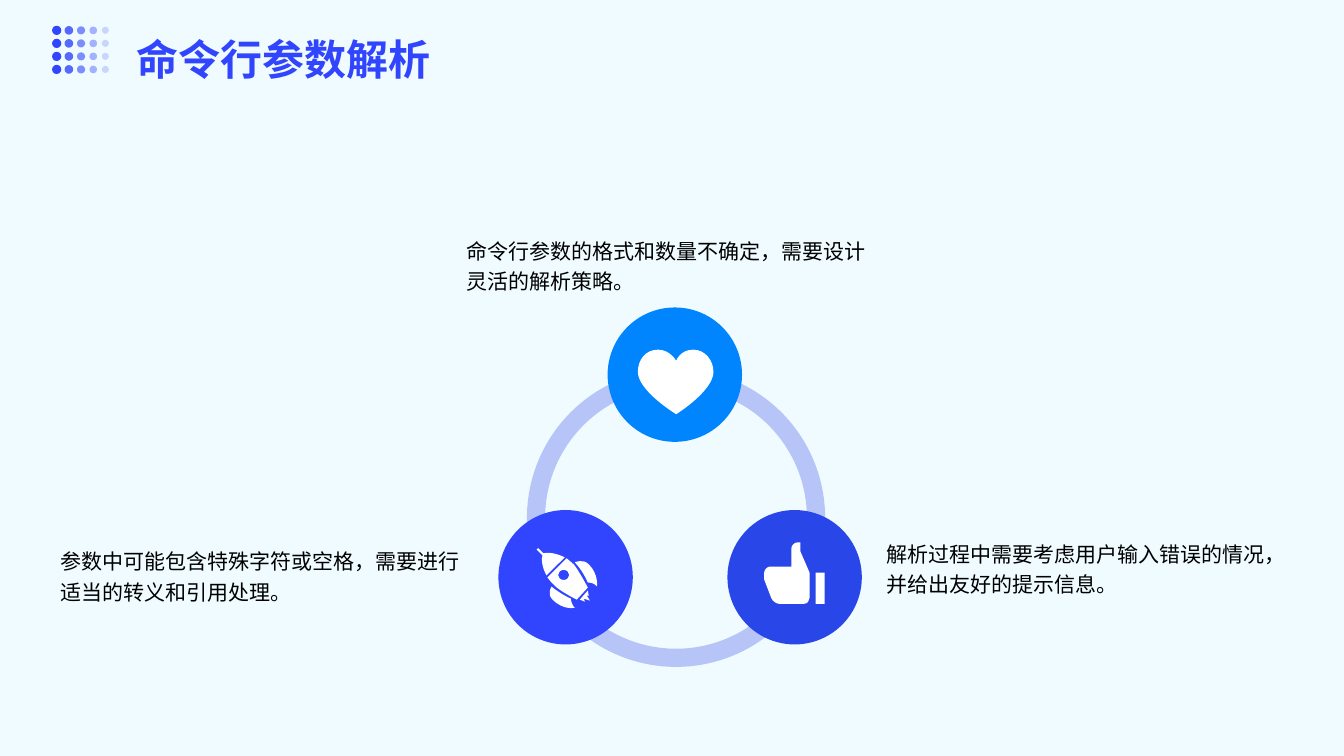
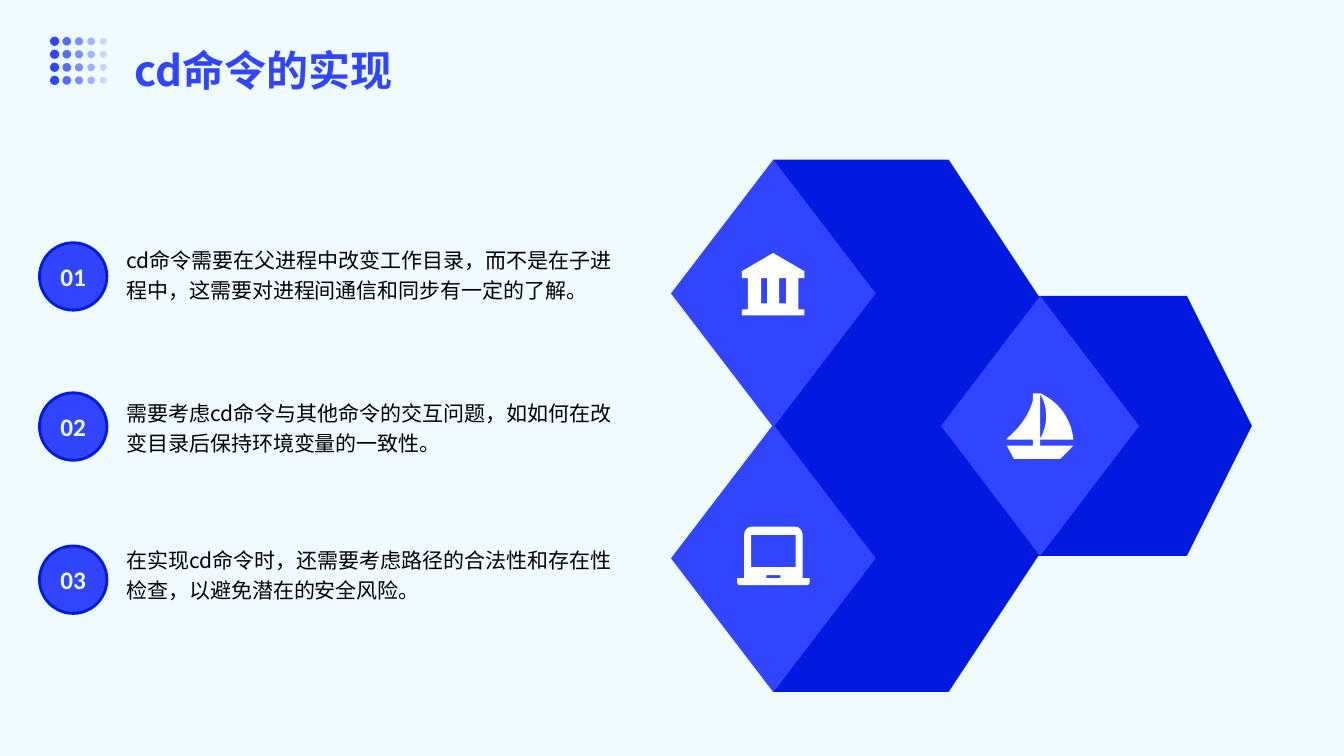
from typing import NamedTuple

from lxml import etree
from pptx import Presentation
from pptx.dml.color import RGBColor
from pptx.enum.shapes import MSO_SHAPE
from pptx.enum.text import MSO_ANCHOR, MSO_AUTO_SIZE, PP_ALIGN
from pptx.oxml.ns import qn
from pptx.shapes.autoshape import Shape
from pptx.shapes.shapetree import GroupShapes, SlideShapes
from pptx.slide import Slide
from pptx.util import Pt

OVAL, DONUT = MSO_SHAPE.OVAL, MSO_SHAPE.DONUT
DIAMOND, HEXAGON, ARROW = MSO_SHAPE.DIAMOND, MSO_SHAPE.HEXAGON, MSO_SHAPE.PENTAGON
TOP, MIDDLE = MSO_ANCHOR.TOP, MSO_ANCHOR.MIDDLE
LEFT, CENTER = PP_ALIGN.LEFT, PP_ALIGN.CENTER
GROW = MSO_AUTO_SIZE.SHAPE_TO_FIT_TEXT

PALE = RGBColor(0xEF, 0xFB, 0xFF)
BLUE = RGBColor(0x30, 0x45, 0xFD)
DEEP = RGBColor(0x02, 0x19, 0xE0)
SKY = RGBColor(0x00, 0x85, 0xFF)
ROYAL = RGBColor(0x29, 0x47, 0xE8)
WHITE = RGBColor(0xFF, 0xFF, 0xFF)
BLACK = RGBColor(0x00, 0x00, 0x00)

SANS, LATIN = "Noto Sans CJK SC", "Calibri"

# Outlines in points: ";" splits contours, "," splits segments.
# Two numbers make a line, six a cubic curve.
HEART = (
    "27.4 7.9, 27.4 7.9 23 0 14.4 0, 5 0 0 7.9 0 15.8, 0 29.5 27.4 46.1 27.4 46.1,"
    "27.4 46.1 54 29.5 54 15.8, 54 7.9 48.2 0 39.6 0, 30.2 0 27.4 7.9 27.4 7.9"
)
ROCKET = (
    "43.2 27.4, 43.2 27.4 41.8 24.5 36.7 24.5, 33.1 15.8 27.4 10.1 27.4 10.1,"
    "27.4 10.1 33.1 7.2 37.4 11.5, 44.6 18.7 43.2 27.4 43.2 27.4;"
    "28.8 36.7, 28.8 36.7 15.8 30.2 12.2 25.9, 10.1 24.5 9.4 22.3 7.9 20.9, 21.6 7.2,"
    "23 8.6 25.2 10.1 26.6 11.5, 30.2 15.8 36.7 28.1 36.7 28.1;"
    "16.6 16.6, 15.1 18 15.1 20.2 16.6 21.6, 18 23 20.9 23 22.3 21.6,"
    "23.8 20.2 23.8 18 22.3 16.6, 20.9 15.1 18 15.1 16.6 16.6;"
    "4.3 5, 0 0.7, 1.4 0, 5 3.6, 7.2 2.9 13 2.9 20.2 6.5, 7.2 19.4,"
    "3.6 13 3.6 7.2 4.3 5;"
    "27.4 42.5, 27.4 42.5 19.4 44.6 11.5 36.7, 7.2 32.4 10.8 27.4 10.8 27.4,"
    "10.8 27.4 16.6 32.4 24.5 36, 25.2 41 27.4 42.5 27.4 42.5;"
    "37.4 33.8, 36 33.8, 38.2 37.4, 33.8 36, 34.6 38.2, 31 36.7, 36.7 30.2"
)
THUMB = (
    "23.8 0, 25.9 0, 25.9 6.5, 32.4 21.6, 32.4 39.6, 32.4 41.8 31 43.9 28.1 43.9,"
    "10.8 43.9, 8.6 43.9 5.8 41.8 5 39.6, 0 26.6, 0 21.6, 0 19.4 2.2 17.3 4.3 17.3,"
    "19.4 17.3, 19.4 4.3, 19.4 2.2 21.6 0 23.8 0;"
    "36.7 21.6, 43.2 21.6, 43.2 43.9, 36.7 43.9"
)
BANK = (
    "0 13, 22.3 0, 44.6 13, 44.6 18, 40.3 18, 40.3 36, 40.3 40.3, 44.6 40.3,"
    "44.6 44.6, 0 44.6, 0 40.3, 4.3 40.3, 4.3 18, 0 18;"
    "13.7 18, 18 18, 18 36, 13.7 36; 26.6 18, 31.7 18, 31.7 36, 26.6 36"
)
LAPTOP = (
    "46.8 36.7, 51.8 36.7, 51.8 39.6, 51.8 41 51.1 41.8 49.7 41.8, 2.2 41.8,"
    "0.7 41.8 0 41 0 39.6, 0 36.7, 5 36.7, 5 5.8, 5 2.9 7.2 0 10.1 0, 41.8 0,"
    "44.6 0 46.8 2.9 46.8 5.8; 10.1 5.8, 10.1 28.8, 41.8 28.8, 41.8 5.8;"
    "20.9 34.6, 20.9 36.7, 31 36.7, 31 34.6"
)
BOAT = (
    "18.7 4.3, 18.7 0, 23.8 0, 23.8 37.4, 47.5 37.4, 38.2 46.8, 5 46.8, 0 37.4,"
    "18.7 37.4, 18.7 33.1, 0 33.1, 0 32.4, 8.6 25.2 15.8 15.8 18.7 5;"
    "47.5 33.1, 23.8 33.1, 23.8 32.4, 26.6 27.4 28.1 22.3 28.1 16.6,"
    "28.1 10.8 26.6 5 23.8 0.7, 23.8 0, 36.7 5.8 46.1 18 47.5 33.1"
)

Shapes = SlideShapes | GroupShapes
Point = tuple[float, float]


class Box(NamedTuple):
    left: float
    top: float
    width: float
    height: float


class Icon(NamedTuple):
    outline: str
    left: float
    top: float


class Node(NamedTuple):
    left: float
    top: float
    color: RGBColor
    icon: Icon
    note: Point
    text: str


class Tile(NamedTuple):
    box: Box
    icon: Icon


class Step(NamedTuple):
    badge_top: float
    note_top: float
    text: str


NODES = [
    Node(434, 219.6, SKY, Icon(HEART, 455.6, 249.8), (324.2, 162.3),
         "命令行参数的格式和数量不确定，需要设计灵活的解析策略。"),
    Node(356, 364.3, BLUE, Icon(ROCKET, 383.2, 391.6), (34, 384.3),
         "参数中可能包含特殊字符或空格，需要进行适当的转义和引用处理。"),
    Node(519.6, 364.3, ROYAL, Icon(THUMB, 545.9, 387.4), (624.2, 378.7),
         "解析过程中需要考虑用户输入错误的情况，并给出友好的提示信息。"),
]
TILES = [
    Tile(Box(479.3, 114, 146.2, 191.2), Icon(BANK, 529.9, 180.7)),
    Tile(Box(479.3, 303.2, 146.2, 191.2), Icon(LAPTOP, 526.5, 376.2)),
    Tile(Box(672.2, 211.4, 141.5, 185.7), Icon(BOAT, 719.2, 280.9)),
]
STEPS = [
    Step(173.4, 168.8, "cd命令需要在父进程中改变工作目录，而不是在子进程中，"
                       "这需要对进程间通信和同步有一定的了解。"),
    Step(280.6, 277.9, "需要考虑cd命令与其他命令的交互问题，"
                       "如如何在改变目录后保持环境变量的一致性。"),
    Step(390, 383, "在实现cd命令时，还需要考虑路径的合法性和存在性检查，"
                   "以避免潜在的安全风险。"),
]


def paint(shape: Shape, color: RGBColor, alpha: int = 100) -> None:
    """Give a flat fill, alpha in percent, with no line or shadow."""
    shape.shadow.inherit = False
    shape.fill.solid()
    shape.fill.fore_color.rgb = color
    shape.line.fill.background()
    if alpha < 100:
        tint = shape.element.spPr.find(".//" + qn("a:srgbClr"))
        etree.SubElement(tint, qn("a:alpha"), val=str(alpha * 1000))


def add_form(shapes: Shapes, kind: MSO_SHAPE, box: Box, color: RGBColor,
             alpha: int = 100, adjust: float | None = None) -> Shape:
    shape = shapes.add_shape(kind, *map(Pt, box))
    if adjust is not None:
        shape.adjustments[0] = adjust
    paint(shape, color, alpha)
    return shape


def write(shape: Shape, text: str, *, size: float = 15, font: str = SANS,
          color: RGBColor = BLACK, bold: bool = False, spacing: float = 1.0,
          align: PP_ALIGN = LEFT, anchor: MSO_ANCHOR = TOP,
          insets: Box | None = None) -> None:
    frame = shape.text_frame
    frame.word_wrap = True
    frame.vertical_anchor = anchor
    if insets:
        frame.margin_left, frame.margin_top, frame.margin_right, frame.margin_bottom = map(Pt, insets)
        frame.auto_size = GROW
    line = frame.paragraphs[0]
    line.alignment, line.line_spacing = align, spacing
    run = line.add_run()
    run.text = text
    run.font.size, run.font.name, run.font.bold = Pt(size), font, bold
    run.font.color.rgb = color
    etree.SubElement(run.font._element, qn("a:ea"), typeface=font)


def add_note(shapes: Shapes, box: Box, text: str) -> None:
    write(shapes.add_textbox(*map(Pt, box)), text, spacing=1.2,
          insets=Box(9, 4.25, 9, 4.25))


def bend(shape: Shape, counts: list[int]) -> None:
    """Join each run of three drawn lines into one cubic curve."""
    lines = iter(list(shape.element.iter(qn("a:lnTo"))))
    for count in counts:
        first, *rest = [next(lines) for _ in range(count)]
        if rest:
            first.tag = qn("a:cubicBezTo")
        for line in rest:
            first.append(line[0])
            line.getparent().remove(line)


def add_icon(shapes: Shapes, icon: Icon) -> None:
    pen = None
    counts: list[int] = []
    for contour in icon.outline.split(";"):
        points: list[Point] = []
        for index, segment in enumerate(contour.split(",")):
            nums = [float(num) for num in segment.split()]
            points += [(Pt(icon.left + x), Pt(icon.top + y))
                       for x, y in zip(nums[::2], nums[1::2])]
            if index:
                counts.append(len(nums) // 2)
        if pen is None:
            pen = shapes.build_freeform(*points[0], scale=1.0)
        else:
            pen.move_to(*points[0])
        pen.add_line_segments(points[1:], close=True)
    shape = pen.convert_to_shape()
    bend(shape, counts)
    paint(shape, WHITE)


def add_head(slide: Slide, left: float, top: float, text: str) -> None:
    """Draw the fading dot grid and the title beside it."""
    shapes = slide.shapes.add_group_shape().shapes
    for row in range(4):
        for col in range(5):
            size = 6.6 - 0.4 * col
            x = left + 3 + 8.7 * col - size / 2
            y = top + 22 + 9.3 * row - size / 2
            add_form(shapes, OVAL, Box(x, y, size, size), BLUE, 100 - 20 * col)
    title = shapes.add_textbox(Pt(left + 50.3), Pt(top), Pt(787.7), Pt(70.6))
    write(title, text, size=30, color=BLUE, bold=True, spacing=1.4,
          insets=Box(10, 10, 4.3, 10))


def add_page(deck: Presentation) -> Slide:
    slide = deck.slides.add_slide(deck.slide_layouts[6])
    slide.background.fill.solid()
    slide.background.fill.fore_color.rgb = PALE
    return slide


def draw_ring(slide: Slide) -> None:
    shapes = slide.shapes
    add_form(shapes, DONUT, Box(376.4, 263.4, 213, 213), DEEP, 24, 0.061)
    for node in NODES:
        add_form(shapes, OVAL, Box(node.left, node.top, 96, 96), node.color)
        add_icon(shapes, node.icon)
        add_note(shapes, Box(*node.note, 307.4, 52.6), node.text)
    add_head(slide, 37.5, -0.3, "命令行参数解析")


def draw_steps(slide: Slide) -> None:
    shapes = slide.shapes
    add_form(shapes, HEXAGON, Box(677.5, 211.4, 216.7, 185.7), DEEP, adjust=0.25)
    add_form(shapes, ARROW, Box(552.3, 114, 250.6, 380.2), DEEP, adjust=0.5)
    for tile in TILES:
        add_form(shapes, DIAMOND, tile.box, BLUE)
        add_icon(shapes, tile.icon)
    for number, step in enumerate(STEPS, 1):
        add_note(shapes, Box(81, step.note_top, 367, 52.6), step.text)
        badge = add_form(shapes, OVAL, Box(28.2, step.badge_top, 48.2, 48.2), BLUE)
        badge.line.color.rgb = DEEP
        badge.line.width = Pt(2)
        write(badge, f"{number:02}", size=18, font=LATIN, color=PALE, bold=True,
              align=CENTER, anchor=MIDDLE)
    add_head(slide, 36, 7.5, "cd命令的实现")


def main() -> None:
    deck = Presentation()
    deck.slide_width, deck.slide_height = Pt(960), Pt(540)
    for draw in (draw_ring, draw_steps):
        draw(add_page(deck))
    deck.save("out.pptx")


if __name__ == "__main__":
    main()
